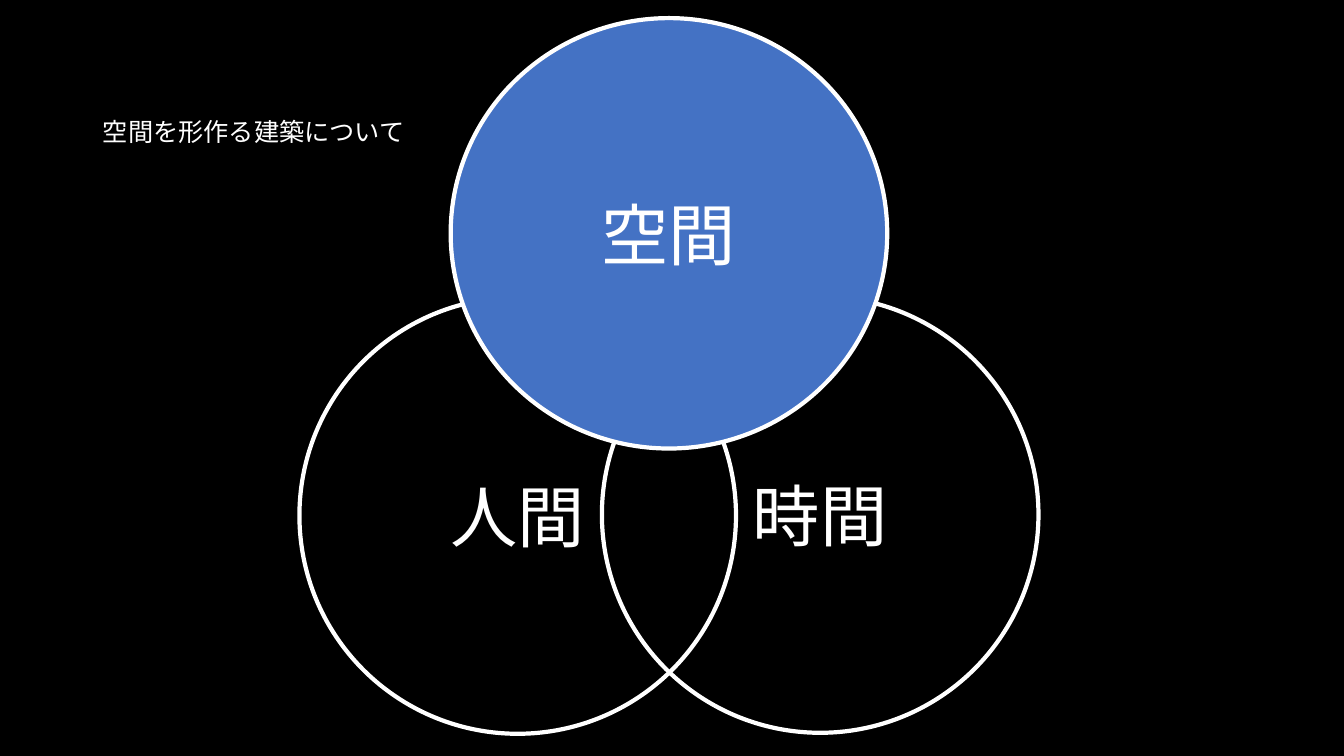
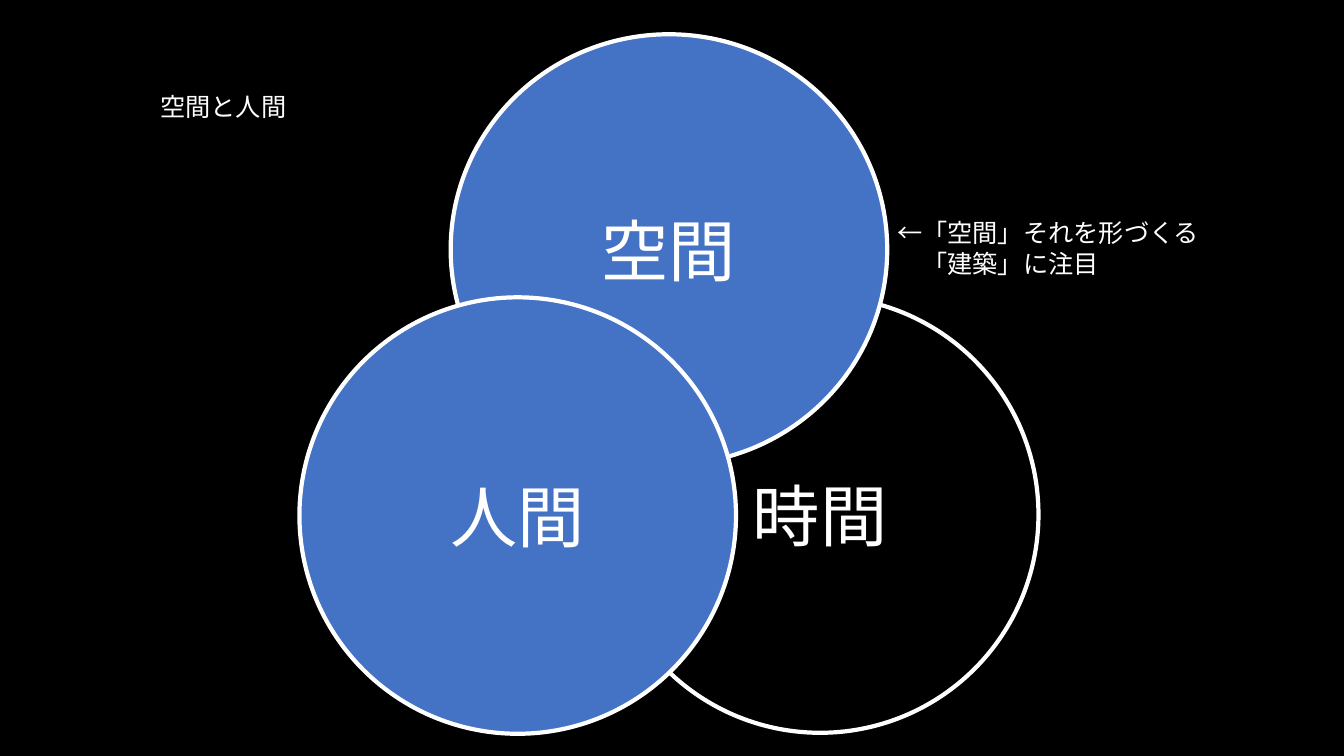
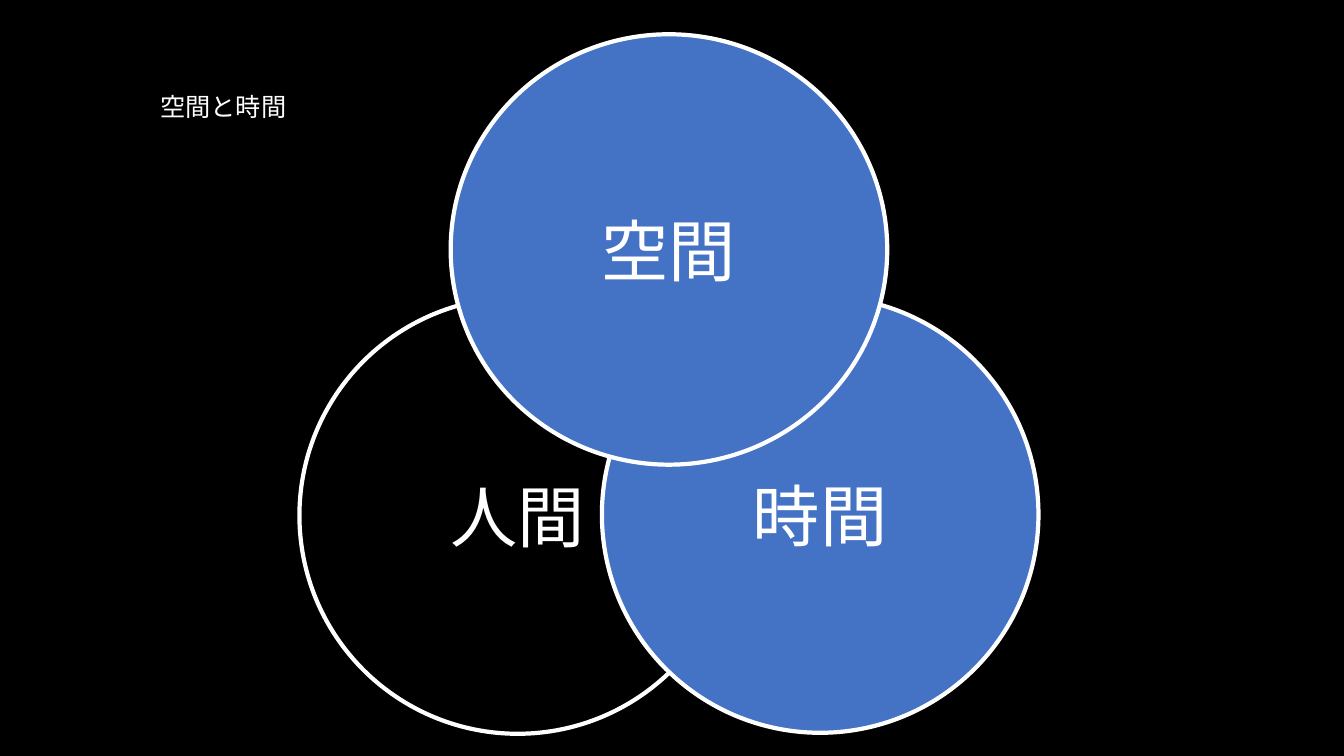
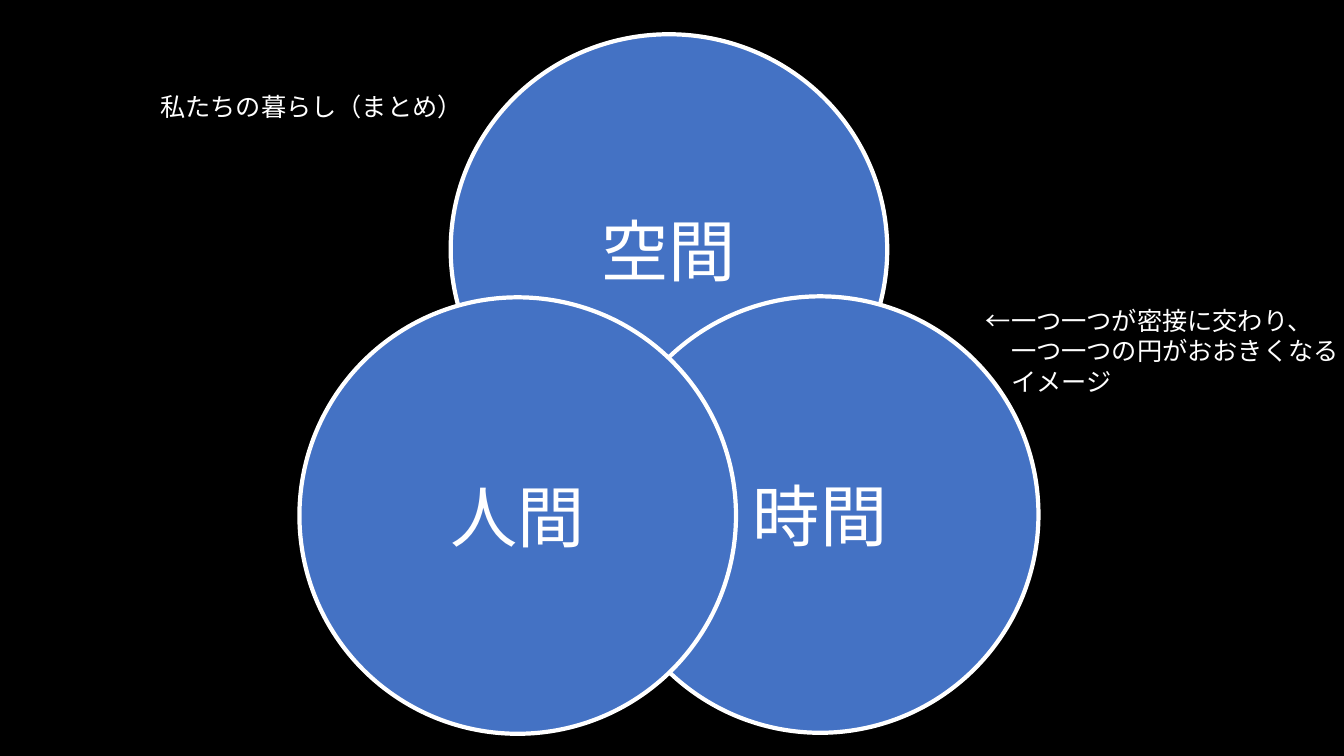
from pptx import Presentation
from pptx.dml.color import RGBColor
from pptx.enum.lang import MSO_LANGUAGE_ID
from pptx.enum.shapes import MSO_SHAPE
from pptx.enum.text import MSO_ANCHOR, MSO_AUTO_SIZE, PP_ALIGN
from pptx.util import Inches, Pt

OVAL = MSO_SHAPE.OVAL
JAPANESE = MSO_LANGUAGE_ID.JAPANESE
TOP, MIDDLE = MSO_ANCHOR.TOP, MSO_ANCHOR.MIDDLE
LEFT, CENTER = PP_ALIGN.LEFT, PP_ALIGN.CENTER
FIXED_SIZE = MSO_AUTO_SIZE.NONE

COLORS = {"background": "000000", "ink": "FFFFFF", "highlight": "4472C4"}
FONT = "Calibri"
TITLE_ONLY = 5
HANGING = 0.25
CIRCLES = {
    "空間": (4.47, 0.34, 4.33, 4.27),
    "人間": (2.97, 2.95, 4.33, 4.33),
    "時間": (5.97, 2.94, 4.33, 4.33),
}
TITLE_AT = (1.49, 0.86)

SLIDES = [
    {
        "title": "空間を形作る建築について",
        "title_box": (0.92, 1.1, 3.23, 0.4),
        "stack": ["人間", "時間", "空間"],
        "highlighted": {"空間"},
        "space_top": 0.18,
    },
    {
        "title": "空間と人間",
        "title_box": (*TITLE_AT, 1.46, 0.4),
        "stack": ["時間", "空間", "人間"],
        "highlighted": {"空間", "人間"},
        "remark": ["←「空間」それを形づくる", "「建築」に注目"],
        "remark_box": (8.8, 2.11, 3.23, 0.71),
    },
    {
        "title": "空間と時間",
        "title_box": (*TITLE_AT, 1.46, 0.4),
        "stack": ["人間", "時間", "空間"],
        "highlighted": {"空間", "時間"},
    },
    {
        "title": "私たちの暮らし（まとめ）",
        "title_box": (*TITLE_AT, 3.23, 0.4),
        "stack": ["空間", "時間", "人間"],
        "highlighted": {"空間", "時間", "人間"},
        "remark": [
            "←一つ一つが密接に交わり、",
            "一つ一つの円がおおきくなる",
            "イメージ",
        ],
        "remark_box": (9.68, 2.98, 3.74, 1.01),
    },
]


def color(name):
    """Return the named colour of the deck."""
    return RGBColor.from_string(COLORS[name])


def add_run(paragraph, text, size, align=LEFT):
    """Add one run in the shared text style."""
    paragraph.alignment = align
    run = paragraph.add_run()
    run.text = text
    run.font.name = FONT
    run.font.size = Pt(size)
    run.font.color.rgb = color("ink")
    run.font.language_id = JAPANESE


def set_title(slide, text, box):
    """Move the title placeholder and fill it."""
    title = slide.shapes.title
    title.left, title.top, title.width, title.height = map(Inches, box)
    frame = title.text_frame
    frame.word_wrap = False
    frame.auto_size = FIXED_SIZE
    frame.vertical_anchor = TOP
    add_run(frame.paragraphs[0], text, 18)


def add_circle(slide, label, box, highlighted):
    """Add a labelled circle, filled when it is highlighted."""
    circle = slide.shapes.add_shape(OVAL, *map(Inches, box))
    circle.shadow.inherit = False
    if highlighted:
        circle.fill.solid()
        circle.fill.fore_color.rgb = color("highlight")
    else:
        circle.fill.background()
    circle.line.color.rgb = color("ink")
    circle.line.width = Pt(3)
    frame = circle.text_frame
    frame.vertical_anchor = MIDDLE
    add_run(frame.paragraphs[0], label, 48, CENTER)


def add_remark(slide, lines, box):
    """Add a remark whose later lines align after the arrow."""
    frame = slide.shapes.add_textbox(*map(Inches, box)).text_frame
    frame.word_wrap = False
    for index, line in enumerate(lines):
        paragraph = frame.add_paragraph() if index else frame.paragraphs[0]
        add_run(paragraph, line, 18)
        if index:
            paragraph._p.get_or_add_pPr().set("marL", str(Inches(HANGING)))


def add_venn_slide(prs, content):
    """Build one slide of overlapping circles."""
    slide = prs.slides.add_slide(prs.slide_layouts[TITLE_ONLY])
    set_title(slide, content["title"], content["title_box"])
    for label in content["stack"]:
        left, top, width, height = CIRCLES[label]
        if label == "空間":
            top = content.get("space_top", top)
        add_circle(slide, label, (left, top, width, height), label in content["highlighted"])
    if "remark" in content:
        add_remark(slide, content["remark"], content["remark_box"])


def main():
    """Build and save the presentation."""
    prs = Presentation()
    prs.slide_width, prs.slide_height = Inches(13.33), Inches(7.5)
    backdrop = prs.slide_master.background.fill
    backdrop.solid()
    backdrop.fore_color.rgb = color("background")
    for content in SLIDES:
        add_venn_slide(prs, content)
    prs.save("out.pptx")


if __name__ == "__main__":
    main()
